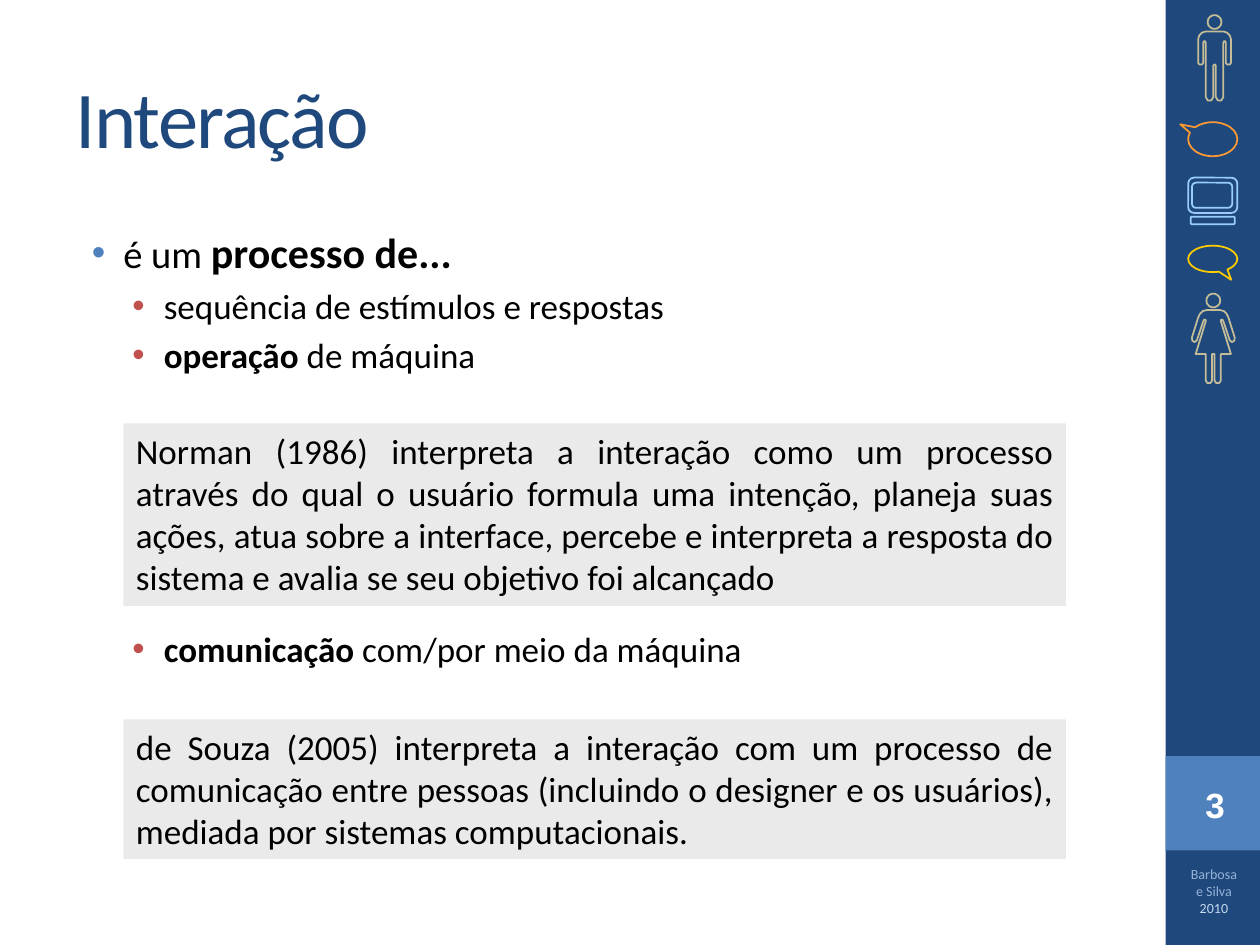
from math import cos, pi, sin

from lxml import etree
from pptx import Presentation, util as u
from pptx.dml.color import RGBColor
from pptx.enum import shapes, text
from pptx.oxml.ns import qn

# Content
TITLE = "Interação"
# (level, space before in points, [(words, bold, size)])
BULLETS = [
    (0, 0, [("é um ", False, "lead"), ("processo de...", True, "strong")]),
    (1, 4, [("sequência de estímulos e respostas", False, "text")]),
    (1, 4, [("operação", True, "text"), (" de máquina", False, "text")]),
    (1, 144, [("comunicação", True, "text"),
              (" com/por meio da máquina", False, "text")]),
]
# (top, height, words)
QUOTES = [
    (3.36, 1.45, "Norman (1986) interpreta a interação como um processo através "
     "do qual o usuário formula uma intenção, planeja suas ações, atua sobre a "
     "interface, percebe e interpreta a resposta do sistema e avalia se seu "
     "objetivo foi alcançado"),
    (5.71, 1.11, "de Souza (2005) interpreta a interação com um processo de "
     "comunicação entre pessoas (incluindo o designer e os usuários), mediada "
     "por sistemas computacionais."),
]
PAGE = "3"
CREDIT = [("Barbosa e Silva ", "credit"), ("2010", "year")]

THEME = {
    "font": "Calibri", "number_font": "Arial",
    "color": {"navy": "1F497D", "blue": "4F81BD", "red": "C0504D",
              "black": "000000", "white": "FFFFFF", "panel": "EAEAEA",
              "credit": "95B3D7", "year": "C6D9F1", "person": "C4BD97",
              "orange": "FF9933", "sky": "99CCFF", "yellow": "FFCC00"},
    "size": {"title": 46, "strong": 24, "lead": 22, "text": 20, "credit": 8},
}
LEVELS = [(0.38, "blue"), (0.7, "red")]  # text indent, bullet colour
HANG = 0.25

# Sidebar icons: (kind, box, colour, adjustments)
S = shapes.MSO_SHAPE
ICONS = [
    (S.OVAL_CALLOUT, (9.43, 0.97, 0.39, 0.27), "orange", (-0.662, -0.436)),
    (S.ROUNDED_RECTANGLE, (9.43, 1.41, 0.39, 0.28), "sky", ()),
    (S.ROUNDED_RECTANGLE, (9.46, 1.45, 0.32, 0.2), "sky", ()),
    (S.ROUNDED_RECTANGLE, (9.45, 1.72, 0.35, 0.06), "sky", ()),
    (S.OVAL_CALLOUT, (9.43, 1.95, 0.39, 0.21), "yellow", (0.376, 0.789)),
]
# Right half of each figure, from neck to legs, as offsets from axis and top;
# two numbers make a corner, six make a curve
MAN = [(0.07, 0.13), (0.1, 0.13, 0.13, 0.16, 0.13, 0.19), (0.13, 0.38),
       (0.13, 0.4, 0.09, 0.4, 0.09, 0.38), (0.09, 0.22),
       (0.09, 0.2, 0.07, 0.2, 0.07, 0.22), (0.07, 0.65),
       (0.07, 0.69, 0.01, 0.69, 0.01, 0.65), (0.01, 0.4), (0, 0.39)]
WOMAN = [(0.05, 0.13), (0.09, 0.13, 0.11, 0.16, 0.12, 0.19), (0.17, 0.35),
         (0.18, 0.38, 0.14, 0.4, 0.13, 0.37), (0.08, 0.22),
         (0.08, 0.2, 0.05, 0.2, 0.06, 0.22), (0.14, 0.48), (0.06, 0.48),
         (0.06, 0.69), (0.06, 0.72, 0.01, 0.72, 0.01, 0.69), (0.01, 0.48)]
FIGURES = [(9.64, 0.12, MAN), (9.63, 2.33, WOMAN)]
HEAD, HEAD_POINTS = 0.055, 14
UNITS = 1000  # outline units to the inch


def rgb(name):
    return RGBColor.from_string(THEME["color"][name])


def box(at):
    return [u.Inches(v) for v in at]


def add_run(p, words, size, color="black", font="font", bold=False):
    r = p.add_run()
    r.text = words
    values = {"name": THEME[font], "size": u.Pt(THEME["size"][size]), "bold": bold}
    for key, value in values.items():
        setattr(r.font, key, value)
    r.font.color.rgb = rgb(color)
    return r


def set_frame(tf, **values):
    values = {"word_wrap": True, "auto_size": text.MSO_AUTO_SIZE.NONE, **values}
    for key, value in values.items():
        setattr(tf, key, value)


def paint(sp, fill=None, line=None):
    sp.shadow.inherit = False
    for part, color in ((sp.fill, fill), (sp.line.fill, line)):
        if color:
            part.solid()
            part.fore_color.rgb = rgb(color)
        else:
            part.background()
    if line:
        sp.line.width = u.Pt(1)
    return sp


def add_shape(kind, at, fill=None, line=None):
    return paint(slide.shapes.add_shape(kind, *box(at)), fill, line)


def flatten(steps, n=3):
    """Turn corners and cubic curves into points."""
    points = []
    for step in steps:
        if len(step) == 2:
            points.append(step)
            continue
        ctrl = [points[-1], step[:2], step[2:4], step[4:]]
        for t in (i / n for i in range(1, n + 1)):
            w = ((1 - t) ** 3, 3 * t * (1 - t) ** 2, 3 * t * t * (1 - t), t ** 3)
            points.append(tuple(sum(k * c[a] for k, c in zip(w, ctrl))
                                for a in (0, 1)))
    return points


def add_figure(axis, top, half):
    right = flatten(half)
    body = right + [(-x, y) for x, y in reversed(right)]
    turns = [2 * pi * i / HEAD_POINTS for i in range(HEAD_POINTS)]
    head = [(HEAD * cos(a), HEAD + HEAD * sin(a)) for a in turns]
    body, head = ([(UNITS * (axis + x), UNITS * (top + y)) for x, y in part]
                  for part in (body, head))
    fb = slide.shapes.build_freeform(*body[0], scale=u.Inches(1) / UNITS)
    fb.add_line_segments(body[1:], close=True)
    fb.move_to(*head[0])
    fb.add_line_segments(head[1:], close=True)
    paint(fb.convert_to_shape(), line="person")


def set_bullet(p, level):
    indent, color = LEVELS[level]
    pPr = p._p.get_or_add_pPr()
    pPr.set("marL", str(u.Inches(indent)))
    pPr.set("indent", str(-u.Inches(HANG)))
    clr = etree.SubElement(pPr, qn("a:buClr"))
    etree.SubElement(clr, qn("a:srgbClr"), val=THEME["color"][color])
    etree.SubElement(pPr, qn("a:buFont"), typeface="Arial")
    etree.SubElement(pPr, qn("a:buChar"), char="•")


prs = Presentation()
prs.slide_width, prs.slide_height = u.Inches(10), u.Inches(7.5)
slide = prs.slides.add_slide(prs.slide_layouts[1])
title, body = slide.placeholders

# Title and list
for sp, at in ((title, (0.5, 0.3, 8.33, 1.25)), (body, (0.5, 1.75, 8.33, 5.25))):
    sp.left, sp.top, sp.width, sp.height = box(at)
set_frame(title.text_frame, vertical_anchor=text.MSO_ANCHOR.MIDDLE)
p = title.text_frame.paragraphs[0]
p.alignment = text.PP_ALIGN.LEFT
r = add_run(p, TITLE, "title", "navy")
r.font._element.set("spc", "-100")

tf = body.text_frame
set_frame(tf, vertical_anchor=text.MSO_ANCHOR.TOP)
for i, (level, before, runs) in enumerate(BULLETS):
    p = tf.add_paragraph() if i else tf.paragraphs[0]
    p.level, p.space_before = level, u.Pt(before)
    set_bullet(p, level)
    for words, bold, size in runs:
        add_run(p, words, size, bold=bold)

# Quotations
for top, height, words in QUOTES:
    sp = add_shape(S.RECTANGLE, (0.98, top, 7.48, height), "panel")
    set_frame(sp.text_frame, vertical_anchor=text.MSO_ANCHOR.TOP)
    p = sp.text_frame.paragraphs[0]
    p.alignment = text.PP_ALIGN.JUSTIFY
    add_run(p, words, "text")

# Sidebar
add_shape(S.RECTANGLE, (9.25, 0, 0.75, 7.5), "navy")
add_shape(S.RECTANGLE, (9.25, 6, 0.75, 0.75), "blue")
for figure in FIGURES:
    add_figure(*figure)
for kind, at, color, adjustments in ICONS:
    sp = add_shape(kind, at, line=color)
    for i, value in enumerate(adjustments):
        sp.adjustments[i] = value

# Page number and credit
for at, runs in (
        ((9.31, 6.17, 0.67, 0.44), [(PAGE, "text", "white", "number_font", True)]),
        ((9.33, 6.82, 0.61, 0.55), [(w, "credit", c) for w, c in CREDIT])):
    tf = slide.shapes.add_textbox(*box(at)).text_frame
    set_frame(tf)
    p = tf.paragraphs[0]
    p.alignment = text.PP_ALIGN.CENTER
    for run in runs:
        add_run(p, *run)

prs.save("out.pptx")
